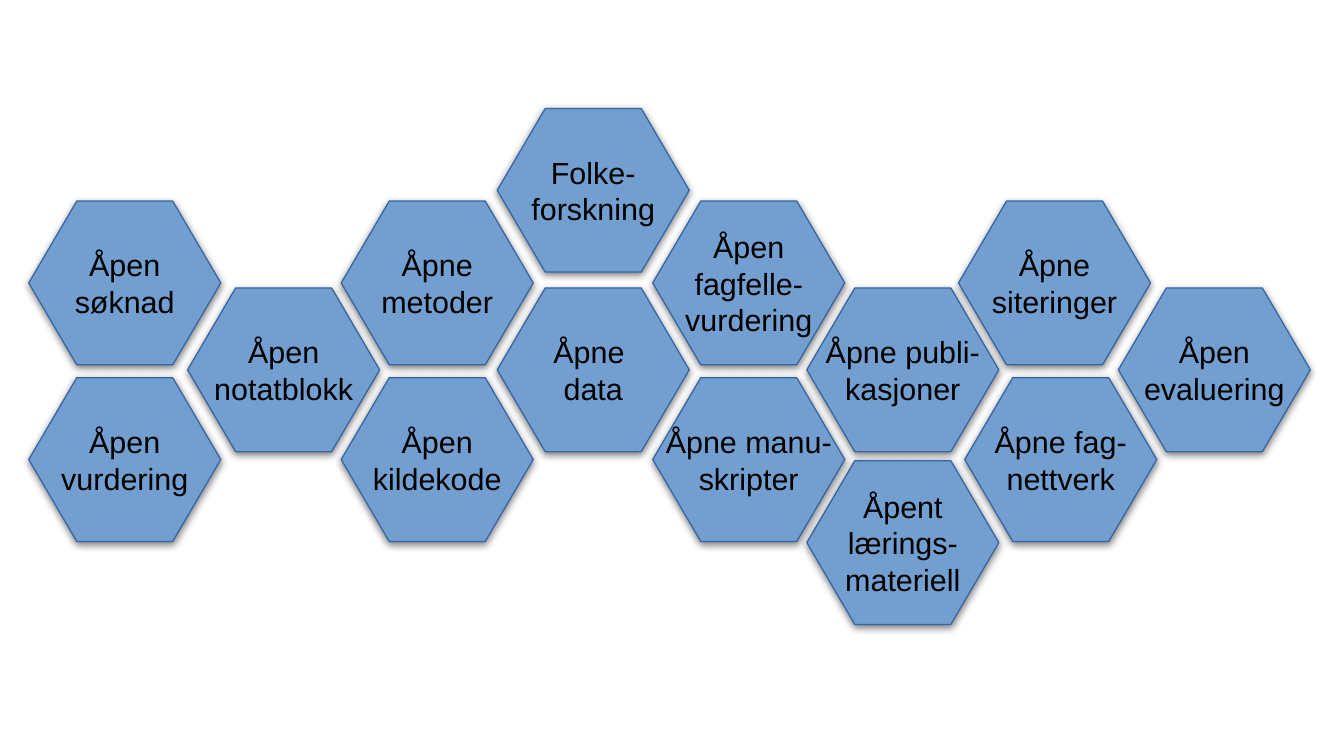
"""Builds a slide with a honeycomb of open science practices."""
from dataclasses import dataclass

from lxml.etree import SubElement
from pptx import Presentation
from pptx.dml.color import RGBColor
from pptx.enum.text import MSO_ANCHOR, PP_ALIGN
from pptx.oxml.ns import qn
from pptx.shapes.autoshape import Shape
from pptx.slide import Slide
from pptx.util import Cm, Pt

COLOURS = {"fill": "729FCF", "outline": "3465A4", "text": "000000", "shadow": "000000"}
WIDTH, HEIGHT, CORNER = 4.0, 3.41, 1.0
COLUMNS = [0.6, 3.91, 7.11, 10.36, 13.6, 16.81, 20.1, 23.3]
ROWS = [2.26, 4.19, 6.0, 7.87, 9.6]


@dataclass(frozen=True)
class Practice:
    """One hexagon, placed by column and row, with an optional shift in cm."""
    text: str
    column: int
    row: int
    shift: float = 0.0


PRACTICES = [
    Practice("Åpne publi-\nkasjoner", 5, 2),
    Practice("Åpen fagfelle-\nvurdering", 4, 1),
    Practice("Åpen notatblokk", 1, 2),
    Practice("Åpne \ndata", 3, 2),
    Practice("Åpen kildekode", 2, 3),
    Practice("Åpne fag-\nnettverk", 6, 3),
    Practice("Folke-\nforskning", 3, 0),
    Practice("Åpent lærings-\nmateriell", 5, 4),
    Practice("Åpen søknad", 0, 1),
    Practice("Åpen vurdering", 0, 3),
    Practice("Åpne siteringer", 6, 1, shift=-0.13),
    Practice("Åpne metoder", 2, 1),
    Practice("Åpen evaluering", 7, 2),
    Practice("Åpne manu-\nskripter", 4, 3),
]


def add_shadow(shape: Shape, *, blur: float, distance: float, opacity: int) -> None:
    """Give the shape a soft shadow that falls straight down."""
    shape.shadow.inherit = False
    effects = shape.element.spPr.find(qn("a:effectLst"))
    shadow = SubElement(effects, qn("a:outerShdw"), blurRad=str(Pt(blur)),
                        dist=str(Pt(distance)), dir="5400000", rotWithShape="0")
    colour = SubElement(shadow, qn("a:srgbClr"), val=COLOURS["shadow"])
    SubElement(colour, qn("a:alpha"), val=str(opacity * 1000))


def write_text(shape: Shape, text: str, *, size: float, font: str, colour: str) -> None:
    """Write each line of text as a centred paragraph in the shape."""
    frame = shape.text_frame
    frame.word_wrap = True
    frame.vertical_anchor = MSO_ANCHOR.MIDDLE
    frame.margin_left = frame.margin_right = Cm(0.25)
    frame.margin_top = frame.margin_bottom = Cm(0.13)
    for number, line in enumerate(text.split("\n")):
        para = frame.add_paragraph() if number else frame.paragraphs[0]
        para.alignment = PP_ALIGN.CENTER
        span = para.add_run()
        span.text = line
        span.font.size = Pt(size)
        span.font.name = font
        span.font.color.rgb = RGBColor.from_string(colour)


def add_hexagon(page: Slide, practice: Practice) -> None:
    """Draw one labelled hexagon."""
    left = COLUMNS[practice.column] + practice.shift
    top = ROWS[practice.row]
    right, middle, bottom = left + WIDTH, top + HEIGHT / 2, top + HEIGHT
    corners = [(left + CORNER, top), (right - CORNER, top), (right, middle),
               (right - CORNER, bottom), (left + CORNER, bottom), (left, middle)]
    start, *others = [(Cm(across), Cm(down)) for across, down in corners]
    outline = page.shapes.build_freeform(*start)
    outline.add_line_segments(others, close=True)
    hexagon = outline.convert_to_shape()
    hexagon.fill.solid()
    hexagon.fill.fore_color.rgb = RGBColor.from_string(COLOURS["fill"])
    hexagon.line.color.rgb = RGBColor.from_string(COLOURS["outline"])
    hexagon.line.width = Pt(0.75)
    add_shadow(hexagon, blur=4.5, distance=1.5, opacity=50)
    write_text(hexagon, practice.text, size=18, font="Arial", colour=COLOURS["text"])


def main() -> None:
    """Build and save the deck."""
    deck = Presentation()
    deck.slide_width, deck.slide_height = Cm(28), Cm(15.75)
    page = deck.slides.add_slide(deck.slide_layouts[6])
    for practice in PRACTICES:
        add_hexagon(page, practice)
    deck.save("out.pptx")


if __name__ == "__main__":
    main()
